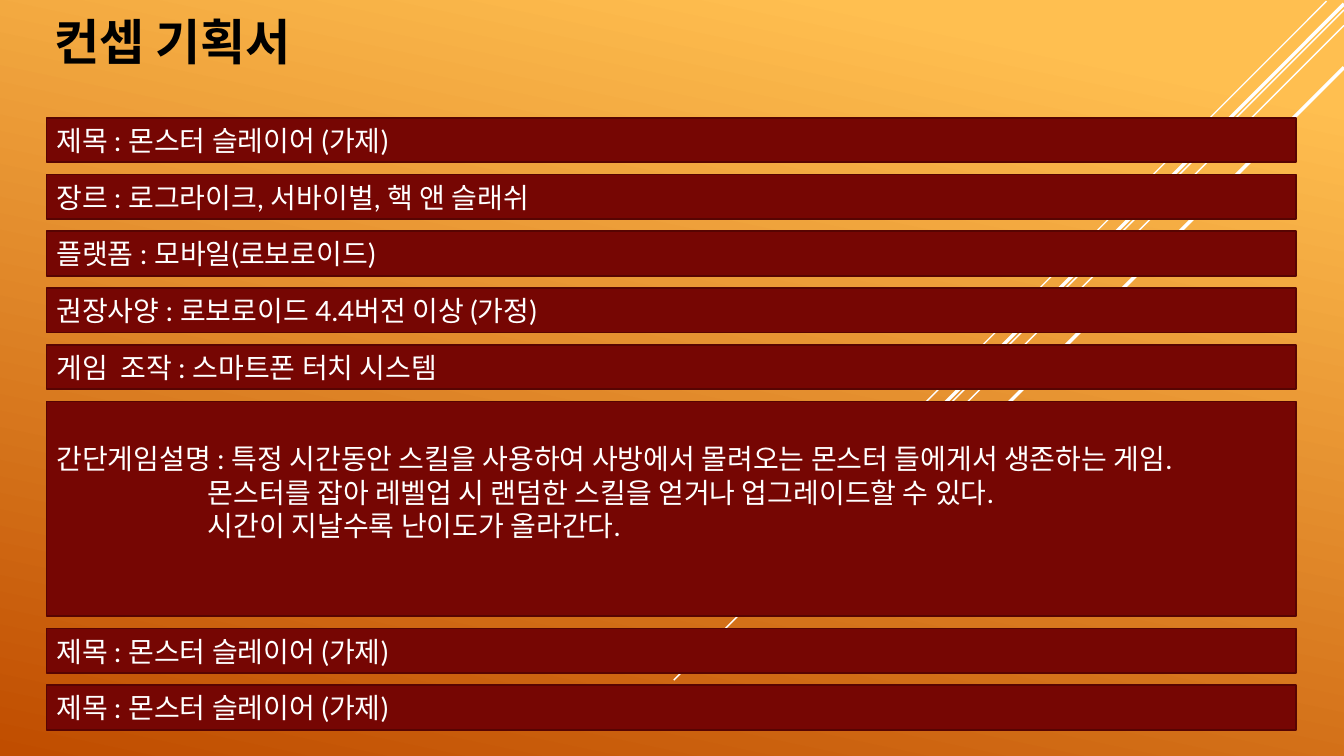
"""Build the game concept slide."""
from pptx import Presentation
from pptx.dml.color import RGBColor
from pptx.enum.shapes import MSO_CONNECTOR, MSO_SHAPE
from pptx.enum.text import MSO_ANCHOR, PP_ALIGN
from pptx.oxml.ns import qn
from pptx.util import Cm, Pt
from lxml import etree

LINE = MSO_CONNECTOR.STRAIGHT
RECT = MSO_SHAPE.RECTANGLE
MIDDLE = MSO_ANCHOR.MIDDLE
LEFT, CENTER = PP_ALIGN.LEFT, PP_ALIGN.CENTER

AMBER = RGBColor(0xFF, 0xBF, 0x50)
RUST = RGBColor(0xC0, 0x4D, 0x00)
WINE = RGBColor(0x76, 0x06, 0x03)
EDGE = RGBColor(0x57, 0x04, 0x02)
WHITE = RGBColor(0xFF, 0xFF, 0xFF)
BLACK = RGBColor(0x00, 0x00, 0x00)

WIDTH, HEIGHT = 33.87, 19.05
ROW, TALL, GAP = 1.12, 5.41, 0.31
INDENT = 3.82

RAYS = [
    (33.43, 0.03, 10.57, 1),
    (WIDTH, 0.25, 16.89, 1),
    (WIDTH, 0.64, 13.77, 1),
    (WIDTH, 0.1, 13.46, 2.5),
    (WIDTH, 1.7, 12.07, 2.5),
]
NAME = "제목 : 몬스터 슬레이어 (가제)"
ABOUT = [
    "간단게임설명 : 특정 시간동안 스킬을 사용하여 사방에서 몰려오는 몬스터 들에게서 생존하는 게임.",
    "몬스터를 잡아 레벨업 시 랜덤한 스킬을 얻거나 업그레이드할 수 있다.",
    "시간이 지날수록 난이도가 올라간다.",
]
ROWS = [
    [NAME],
    ["장르 : 로그라이크, 서바이벌, 핵 앤 슬래쉬"],
    ["플랫폼 : 모바일(로보로이드)"],
    ["권장사양 : 로보로이드 4.4버전 이상 (가정)"],
    ["게임  조작 : 스마트폰 터치 시스템"],
    ABOUT,
    [NAME],
    [NAME],
]


class Deck:
    """Hold the style and the current slide."""

    font = "Lato"

    def __init__(self):
        self.show = Presentation()
        self.show.slide_width, self.show.slide_height = Cm(WIDTH), Cm(HEIGHT)
        self.slide = self.show.slides.add_slide(self.show.slide_layouts[6])

    def back(self, start, end):
        """Fill the background with a gradient."""
        fill = self.slide.background.fill
        fill.gradient()
        fill.gradient_angle = 258
        for stop, place, color in zip(fill.gradient_stops, (0.1, 1), (start, end)):
            stop.position = place
            stop.color.rgb = color

    def ray(self, x, y, span, width):
        """Draw a line down to the left at 45 degrees."""
        line = self.slide.shapes.add_connector(
            LINE, Cm(x), Cm(y), Cm(x - span), Cm(y + span))
        line.line.color.rgb = WHITE
        line.line.width = Pt(width)
        etree.SubElement(line._element.spPr, qn("a:effectLst"))

    def label(self, frame, lines, size, color, align=LEFT, bold=False):
        """Set the lines of a text frame and format them."""
        frame.word_wrap = True
        frame.vertical_anchor = MIDDLE
        frame.text = "\n".join(lines)
        for para in frame.paragraphs:
            para.alignment = align
            for run in para.runs:
                run.font.name = self.font
                run.font.size = Pt(size)
                run.font.bold = bold
                run.font.color.rgb = color

    def title(self, text, x, y, width, height):
        """Add the heading."""
        box = self.slide.shapes.add_textbox(Cm(x), Cm(y), Cm(width), Cm(height))
        self.label(box.text_frame, [text], 35.1, BLACK, CENTER, True)

    def bar(self, lines, y, height):
        """Add a text bar, with later lines indented."""
        box = self.slide.shapes.add_shape(
            RECT, Cm(1.17), Cm(y), Cm(31.5), Cm(height))
        box.shadow.inherit = False
        box.fill.solid()
        box.fill.fore_color.rgb = WINE
        box.line.color.rgb = EDGE
        box.line.width = Pt(1.25)
        frame = box.text_frame
        self.label(frame, lines, 20, WHITE)
        if len(lines) > 1:
            frame.margin_bottom = Cm(0.97)
        for para in frame.paragraphs[1:]:
            para._p.get_or_add_pPr().set("marL", str(Cm(INDENT)))


deck = Deck()
deck.back(AMBER, RUST)
for ray in RAYS:
    deck.ray(*ray)
deck.title("컨셉 기획서", 0.43, 0, 7.85, 2.08)
top = 2.97
for lines in ROWS:
    high = TALL if lines is ABOUT else ROW
    deck.bar(lines, top, high)
    top += high + GAP
deck.show.save("out.pptx")
